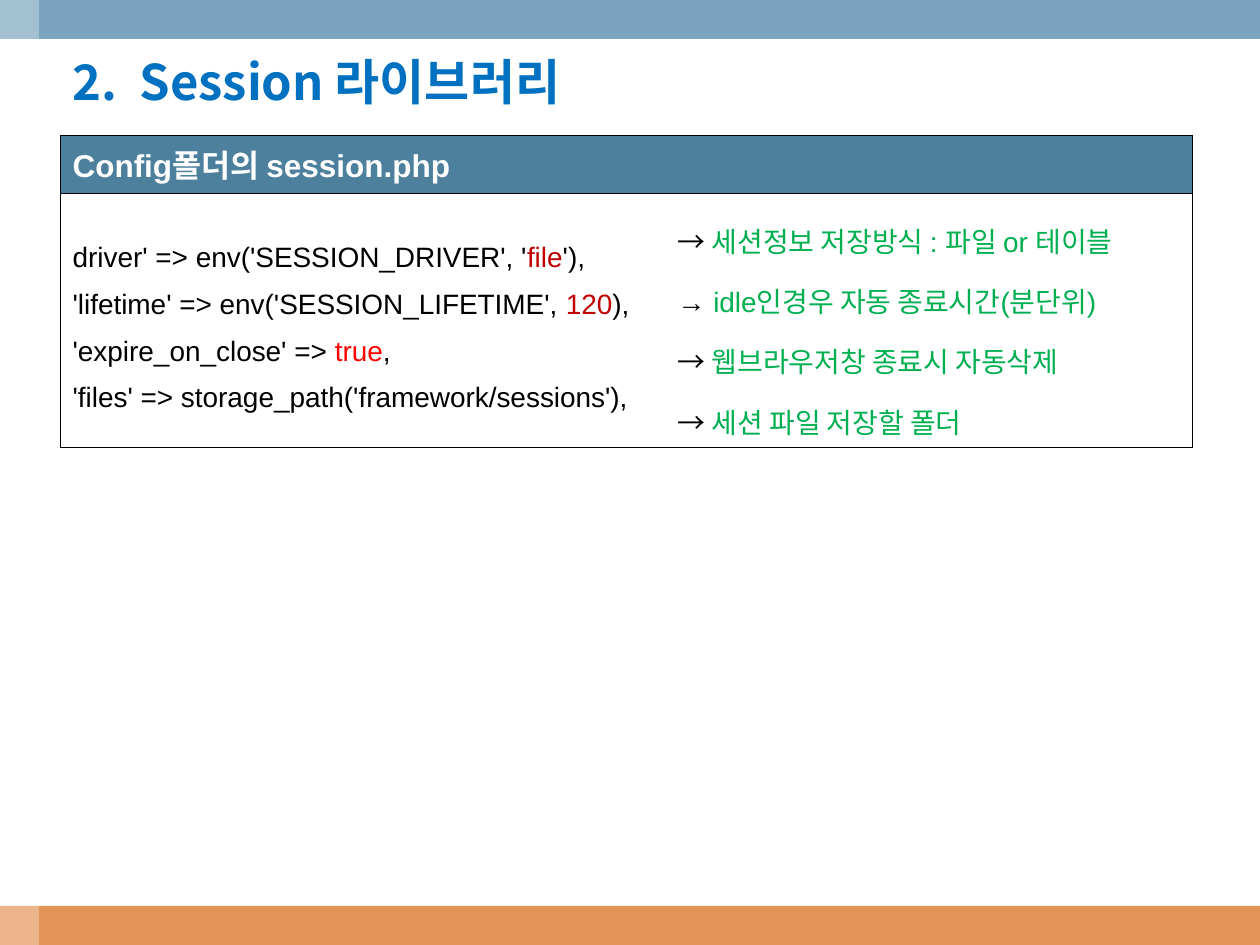
from dataclasses import dataclass

from lxml.etree import SubElement
from pptx import Presentation
from pptx.dml.color import RGBColor
from pptx.enum.shapes import MSO_SHAPE
from pptx.enum.text import MSO_ANCHOR, MSO_AUTO_SIZE, PP_ALIGN
from pptx.oxml.ns import qn
from pptx.util import Emu, Pt

EMU_PER_PX = 914400 / 126
SLIDE_WIDTH, SLIDE_HEIGHT, BAND = 1260, 945, 39
LATIN_FONT, KOREAN_FONT = "Arial", "Noto Sans CJK KR"
BLACK, WHITE, GREEN, DARK_RED, RED = "000000", "FFFFFF", "00B050", "C00000", "FF0000"

TITLE_FORMAT = {"name": KOREAN_FONT, "size": Pt(28), "bold": True}
HEADER_FORMAT = {"name": LATIN_FONT, "size": Pt(18), "bold": True}
BODY_FORMAT = {"name": LATIN_FONT, "size": Pt(16), "bold": False}


@dataclass(frozen=True)
class Band:
    left: int
    top: int
    width: int
    height: int
    color: str
    opacity: int = 100


@dataclass(frozen=True)
class Piece:
    text: str
    color: str = BLACK


BANDS = [
    Band(0, SLIDE_HEIGHT - BAND, SLIDE_WIDTH, BAND, "E49458"),
    Band(0, 0, SLIDE_WIDTH, BAND, "7BA5BE"),
    Band(0, 0, BAND, SLIDE_HEIGHT, WHITE, 30),
]
SETTINGS = [
    [Piece("driver' => env('SESSION_DRIVER', '"), Piece("file", DARK_RED), Piece("'),")],
    [Piece("'lifetime' => env('SESSION_LIFETIME', "), Piece("120", DARK_RED), Piece("),")],
    [Piece("'expire_on_close' => "), Piece("true", RED), Piece(",")],
    [Piece("'files' => storage_path('framework/sessions'),")],
]
EXPLANATIONS = [
    [Piece("→ "), Piece(text, GREEN)]
    for text in (
        "세션정보 저장방식 : 파일 or 테이블",
        "idle인경우 자동 종료시간(분단위)",
        "웹브라우저창 종료시 자동삭제",
        "세션 파일 저장할 폴더",
    )
]


def px(length: int) -> Emu:
    return Emu(round(length * EMU_PER_PX))


def rgb(color: str) -> RGBColor:
    return RGBColor.from_string(color)


def write_paragraphs(text_frame, lines: list[list[Piece]], font_format: dict,
                     paragraph_format: dict) -> None:
    for index, line in enumerate(lines):
        paragraph = text_frame.add_paragraph() if index else text_frame.paragraphs[0]
        for name, value in paragraph_format.items():
            setattr(paragraph, name, value)
        for piece in line:
            run = paragraph.add_run()
            run.text = piece.text
            for name, value in font_format.items():
                setattr(run.font, name, value)
            run.font.color.rgb = rgb(piece.color)
            SubElement(run.font._element, qn("a:ea"), typeface=KOREAN_FONT)


def draw_band(slide, band: Band) -> None:
    shape = slide.shapes.add_shape(
        MSO_SHAPE.RECTANGLE, px(band.left), px(band.top), px(band.width), px(band.height))
    shape.shadow.inherit = False
    shape.fill.solid()
    shape.fill.fore_color.rgb = rgb(band.color)
    shape.line.fill.background()
    if band.opacity < 100:
        color = shape.fill._xPr.find(".//" + qn("a:srgbClr"))
        SubElement(color, qn("a:alpha"), val=str(band.opacity * 1000))


def draw_title(slide, text: str) -> None:
    title = slide.shapes.title
    box = {"left": px(60), "top": px(45), "width": px(993), "height": px(88)}
    for name, value in box.items():
        setattr(title, name, value)
    frame = title.text_frame
    frame_format = {"word_wrap": True, "auto_size": MSO_AUTO_SIZE.NONE,
                    "vertical_anchor": MSO_ANCHOR.TOP}
    for name, value in frame_format.items():
        setattr(frame, name, value)
    write_paragraphs(frame, [[Piece(text, "0070C0")]], TITLE_FORMAT,
                     {"alignment": PP_ALIGN.LEFT})
    properties = frame.paragraphs[0]._p.get_or_add_pPr()
    properties.set("marL", str(px(38)))
    properties.set("indent", str(-px(38)))


def style_cell(cell, fill: str, sides: str) -> None:
    properties = cell._tc.get_or_add_tcPr()
    for side in "LRTB":
        line = SubElement(properties, qn(f"a:ln{side}"), w=str(Pt(0.45)))
        if side in sides:
            solid = SubElement(line, qn("a:solidFill"))
            SubElement(solid, qn("a:srgbClr"), val=BLACK)
        else:
            SubElement(line, qn("a:noFill"))
    cell.fill.solid()
    cell.fill.fore_color.rgb = rgb(fill)
    cell.vertical_anchor = MSO_ANCHOR.MIDDLE


def draw_table(slide) -> None:
    columns, rows = (605, 527), (54, 223)
    table = slide.shapes.add_table(
        len(rows), len(columns), px(60), px(135), px(sum(columns)), px(sum(rows))).table
    table.first_row = table.horz_banding = False
    for column, width in zip(table.columns, columns):
        column.width = px(width)
    for row, height in zip(table.rows, rows):
        row.height = px(height)
    header = table.cell(0, 0)
    header.merge(table.cell(0, 1))
    for cell in table.rows[0].cells:
        style_cell(cell, "4D809D", "LRTB")
    write_paragraphs(header.text_frame, [[Piece("Config폴더의 session.php", WHITE)]],
                     HEADER_FORMAT, {})
    contents = ((SETTINGS, "LTB"), (EXPLANATIONS, "RTB"))
    for cell, (lines, sides) in zip(table.rows[1].cells, contents):
        style_cell(cell, WHITE, sides)
        write_paragraphs(cell.text_frame, lines, BODY_FORMAT, {"line_spacing": 1.5})


def main() -> None:
    presentation = Presentation()
    presentation.slide_width = px(SLIDE_WIDTH)
    presentation.slide_height = px(SLIDE_HEIGHT)
    slide = presentation.slides.add_slide(presentation.slide_layouts[5])
    for band in BANDS:
        draw_band(slide, band)
    draw_table(slide)
    draw_title(slide, "2.  Session 라이브러리")
    presentation.save("out.pptx")


if __name__ == "__main__":
    main()
